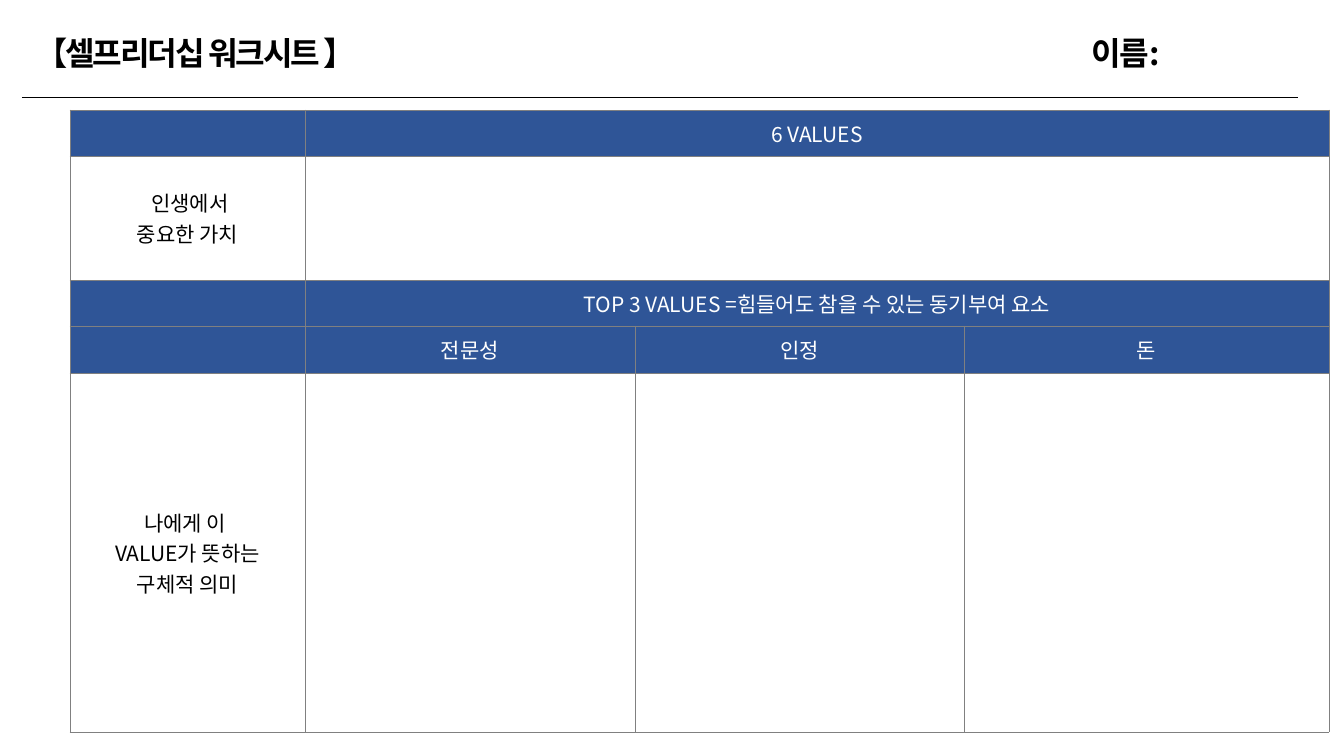
from lxml.etree import SubElement
from pptx import Presentation
from pptx.dml.color import RGBColor
from pptx.enum.shapes import MSO_CONNECTOR as Connector
from pptx.enum.text import MSO_ANCHOR as Anchor, MSO_AUTO_SIZE as AutoSize, PP_ALIGN as Align
from pptx.oxml.ns import qn
from pptx.util import Emu, Pt

BLACK = RGBColor(0x00, 0x00, 0x00)
WHITE = RGBColor(0xFF, 0xFF, 0xFF)
NAVY = RGBColor(0x2F, 0x55, 0x97)
GRAY = RGBColor(0x80, 0x80, 0x80)


def px(length):
    return Emu(round(length * 12192000 / 1344))


class Worksheet:
    font_name = "Noto Sans CJK KR"
    heading_size, cell_size = 23, 15
    hairline = Pt(0.5)

    def __init__(self, page):
        self.page = page

    def style(self, para, size, color, bold=False, spacing=None):
        font = para.font
        font.name, font.size, font.bold = self.font_name, Pt(size), bold
        font.color.rgb = color
        properties = para._p.pPr.find(qn("a:defRPr"))
        SubElement(properties, qn("a:ea")).set("typeface", self.font_name)
        if spacing is not None:
            properties.set("spc", str(round(spacing * 100)))

    def heading(self, box, text, left, top, width, height):
        box.left, box.top, box.width, box.height = map(px, (left, top, width, height))
        frame = box.text_frame
        frame.word_wrap, frame.auto_size = True, AutoSize.NONE
        frame.vertical_anchor = Anchor.MIDDLE
        frame.margin_left = frame.margin_right = px(7)
        frame.margin_top = frame.margin_bottom = px(4)
        frame.text = text
        para = frame.paragraphs[0]
        para.alignment, para.line_spacing = Align.LEFT, 0.9
        self.style(para, self.heading_size, BLACK, bold=True, spacing=-1.5)

    def title(self, text, *area):
        self.heading(self.page.shapes.title, text, *area)

    def label(self, text, *area):
        self.heading(self.page.shapes.add_textbox(0, 0, 0, 0), text, *area)

    def rule(self, left, right, y):
        line = self.page.shapes.add_connector(
            Connector.STRAIGHT, px(left), px(y), px(right), px(y))
        line.line.color.rgb, line.line.width = BLACK, self.hairline
        SubElement(line._element.spPr, qn("a:effectLst"))

    def border(self, cell):
        properties = cell._tc.get_or_add_tcPr()
        for index, side in enumerate(("lnL", "lnR", "lnT", "lnB")):
            edge = properties.makeelement(qn("a:" + side), {"w": str(self.hairline)})
            fill = SubElement(edge, qn("a:solidFill"))
            SubElement(fill, qn("a:srgbClr")).set("val", str(GRAY))
            properties.insert(index, edge)

    def fill_cell(self, cell, text, is_header):
        cell.fill.solid()
        cell.fill.fore_color.rgb = NAVY if is_header else WHITE
        cell.vertical_anchor = Anchor.MIDDLE
        cell.text = text
        for para in cell.text_frame.paragraphs:
            para.alignment = Align.CENTER
            self.style(para, self.cell_size, WHITE if is_header else BLACK)
        self.border(cell)

    def table(self, left, top, widths, heights, rows, headers, merged):
        frame = self.page.shapes.add_table(
            len(heights), len(widths), px(left), px(top), px(sum(widths)), px(sum(heights)))
        table = frame.table
        table.first_row = table.horz_banding = False
        for column, width in zip(table.columns, widths):
            column.width = px(width)
        for row, height in zip(table.rows, heights):
            row.height = px(height)
        for row_index, texts in enumerate(rows):
            for column_index, text in enumerate(texts):
                self.fill_cell(table.cell(row_index, column_index), text, row_index in headers)
        for row_index in merged:
            table.cell(row_index, 1).merge(table.cell(row_index, len(widths) - 1))


def main():
    deck = Presentation()
    deck.slide_width, deck.slide_height = px(1344), px(756)
    sheet = Worksheet(deck.slides.add_slide(deck.slide_layouts[5]))

    # Heading band
    sheet.title("【셀프리더십 워크시트 】", 28, 15, 1183, 81)
    sheet.label("이름:", 1085, 15, 187, 81)
    sheet.rule(22, 1298, 97)

    # Values table
    rows = [
        ["", "6 VALUES", "", ""],
        [" 인생에서\n중요한 가치", "", "", ""],
        ["", "TOP 3 VALUES =힘들어도 참을 수 있는 동기부여 요소", "", ""],
        ["", "전문성", "인정", "돈"],
        ["나에게 이 \nVALUE가 뜻하는\n구체적 의미", "", "", ""],
    ]
    sheet.table(70, 110, [235, 330, 329, 365], [46, 124, 46, 47, 359],
                rows, headers={0, 2, 3}, merged=(0, 1, 2))

    deck.save("out.pptx")


if __name__ == "__main__":
    main()
